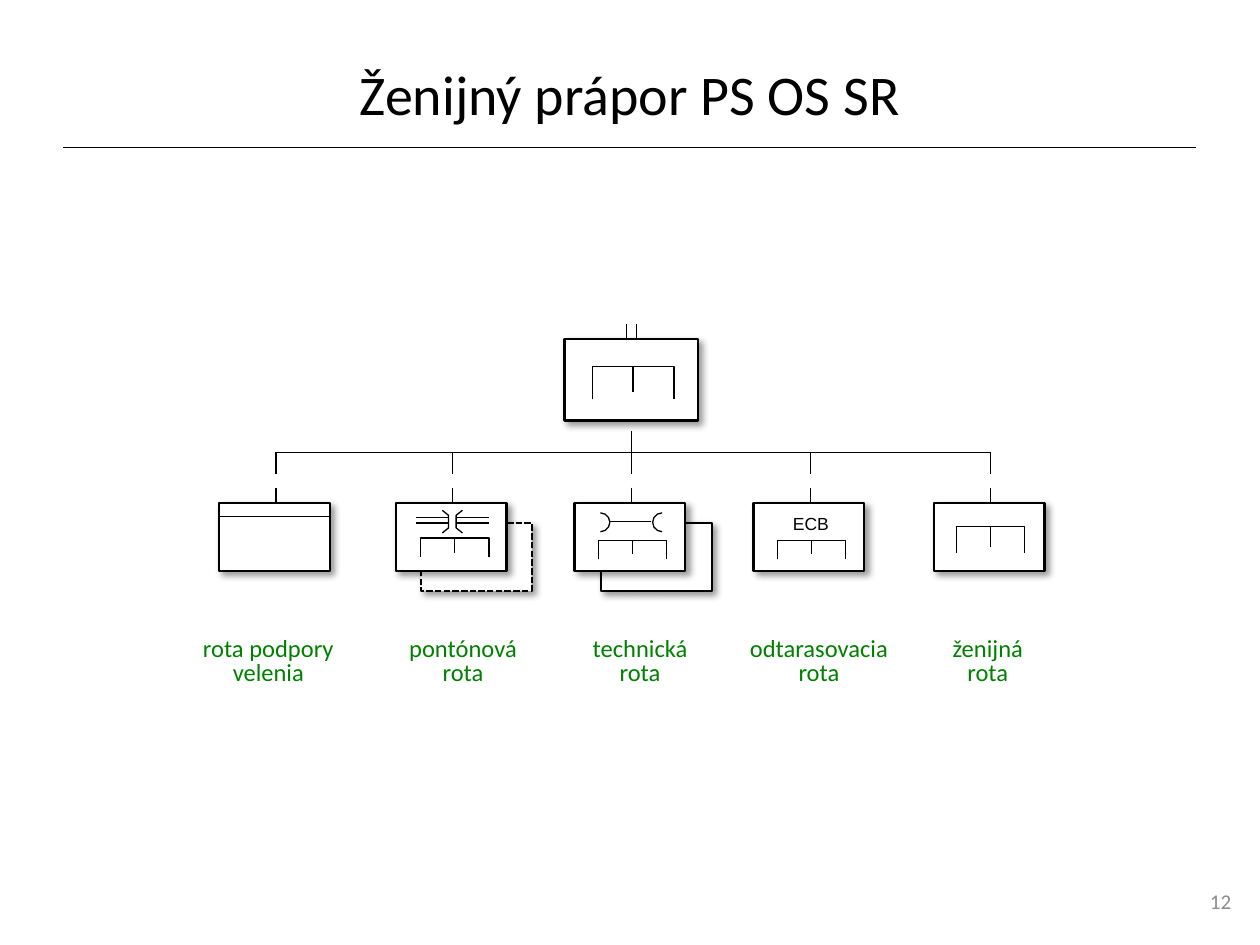
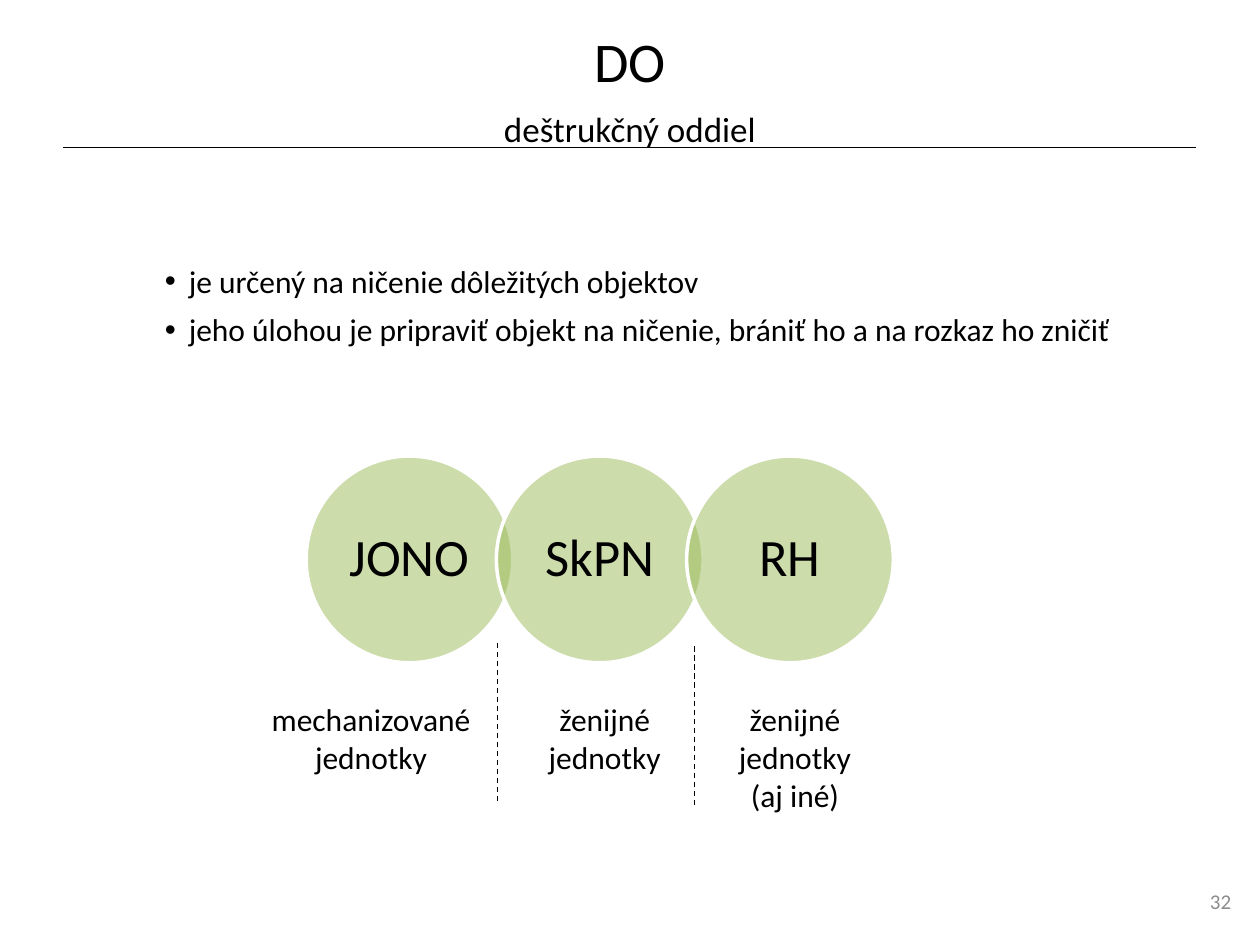
from lxml.etree import SubElement
from pptx import Presentation
from pptx.dml.color import RGBColor
from pptx.enum.dml import MSO_LINE
from pptx.enum.shapes import MSO_CONNECTOR, MSO_SHAPE
from pptx.enum.text import MSO_ANCHOR, PP_ALIGN
from pptx.oxml.ns import qn
from pptx.util import Inches, Pt

BLACK = RGBColor(0x00, 0x00, 0x00)
WHITE = RGBColor(0xFF, 0xFF, 0xFF)
GREEN = RGBColor(0x00, 0x80, 0x00)
OLIVE = RGBColor(0x9B, 0xBB, 0x59)
GRAY = RGBColor(0x8C, 0x8C, 0x8C)

TITLE_FONT = {"size": Pt(32), "name": "Calibri"}
SUBTITLE_FONT = {"size": Pt(20), "name": "Calibri"}
BODY_FONT = {"size": Pt(18), "name": "Calibri"}
CIRCLE_FONT = {"size": Pt(30), "name": "Calibri"}
UNIT_FONT = {"size": Pt(14), "name": "Calibri"}
SYMBOL_FONT = {"size": Pt(10), "name": "Arial"}
NUMBER_FONT = {"size": Pt(12), "name": "Calibri"}
CENTERED = {"alignment": PP_ALIGN.CENTER}
MIDDLE = {"word_wrap": True, "vertical_anchor": MSO_ANCHOR.MIDDLE}

UNIT_WIDTH, UNIT_HEIGHT = 0.88, 0.54


# Shared drawing helpers
def apply_format(target, values):
    for name, value in values.items():
        setattr(target, name, value)


def add_run(paragraph, text, font, color=BLACK):
    run = paragraph.add_run()
    run.text = text
    apply_format(run.font, font)
    run.font.color.rgb = color


def write_text(frame, lines, font, color=BLACK, paragraph_format=CENTERED):
    for index, line in enumerate(lines):
        paragraph = frame.add_paragraph() if index else frame.paragraphs[0]
        apply_format(paragraph, paragraph_format)
        add_run(paragraph, line, font, color)


def add_text(slide, box, lines, font, color=BLACK, paragraph_format=CENTERED,
             frame_format=None):
    shape = slide.shapes.add_textbox(*map(Inches, box))
    apply_format(shape.text_frame, frame_format or {"word_wrap": True})
    write_text(shape.text_frame, lines, font, color, paragraph_format)
    return shape.text_frame


def style_line(shape, width, dash=None, color=BLACK):
    shape.line.color.rgb = color
    apply_format(shape.line, {"width": Pt(width), "dash_style": dash})


def add_line(slide, x1, y1, x2, y2, dash=None):
    connector = slide.shapes.add_connector(
        MSO_CONNECTOR.STRAIGHT, *map(Inches, (x1, y1, x2, y2)))
    style_line(connector, 0.75, dash)
    SubElement(connector._element.spPr, qn("a:effectLst"))


def add_polyline(slide, points):
    start, *others = [(Inches(x), Inches(y)) for x, y in points]
    builder = slide.shapes.build_freeform(*start)
    builder.add_line_segments(others, close=False)
    shape = builder.convert_to_shape()
    shape.shadow.inherit = False
    shape.fill.background()
    style_line(shape, 0.75)


def add_unit_box(slide, left, top, width=UNIT_WIDTH, height=UNIT_HEIGHT,
                 line_width=1.25, dash=None):
    shape = slide.shapes.add_shape(
        MSO_SHAPE.RECTANGLE, *map(Inches, (left, top, width, height)))
    shape.fill.solid()
    shape.fill.fore_color.rgb = WHITE
    style_line(shape, line_width, dash)
    # Soft shadow towards the lower right
    shape.shadow.inherit = False
    effects = shape._element.spPr.find(qn("a:effectLst"))
    shadow = SubElement(effects, qn("a:outerShdw"), blurRad=str(Pt(4)),
                        dist=str(Pt(3)), dir="2700000", algn="tl", rotWithShape="0")
    shadow_color = SubElement(shadow, qn("a:srgbClr"), val=str(BLACK))
    SubElement(shadow_color, qn("a:alpha"), val="40000")


# Slide frame: title, rule and page number
def add_frame(presentation, title, number, subtitle=None):
    slide = presentation.slides.add_slide(presentation.slide_layouts[6])
    add_line(slide, 0.5, 1.17, 9.49, 1.17)
    frame = add_text(slide, (0.5, 0.3, 9, 0.88), [title], TITLE_FONT,
                     frame_format=MIDDLE)
    if subtitle:
        paragraph = frame.paragraphs[0]
        paragraph.line_spacing = Pt(32)
        paragraph.add_line_break()
        add_run(paragraph, subtitle, SUBTITLE_FONT)
    add_text(slide, (9.16, 6.95, 0.71, 0.4), [number], NUMBER_FONT, GRAY,
             {"alignment": PP_ALIGN.RIGHT}, MIDDLE)
    return slide


# Military unit symbols, placed relative to the corner of their box
def add_engineer_sign(slide, left, top, height, stem, width=0.54):
    right, bottom, middle = left + width, top + height, left + width / 2
    add_polyline(slide, [(left, bottom), (left, top), (right, top), (right, bottom)])
    add_line(slide, middle, top, middle, top + stem)


def add_support_symbol(slide, left, top):
    add_line(slide, left, top + 0.11, left + UNIT_WIDTH, top + 0.11)


def add_pontoon_symbol(slide, left, top):
    # Two mirrored halves of a bridge
    center = left + 0.45
    for side in (-1, 1):
        near, far = center + side * 0.03, center + side * 0.08
        add_polyline(slide, [(far, top + 0.06), (near, top + 0.1),
                             (near, top + 0.2), (far, top + 0.24)])
        for offset in (0.12, 0.16):
            add_line(slide, near, top + offset, center + side * 0.29, top + offset)
    add_engineer_sign(slide, left + 0.2, top + 0.28, 0.15, 0.12)


def add_technical_symbol(slide, left, top):
    # Spanner: a bar between two open jaws
    add_line(slide, left + 0.28, top + 0.15, left + 0.61, top + 0.15)
    for offset, angles in ((0.13, (162, 54)), (0.62, (54, 162))):
        jaw = slide.shapes.add_shape(
            MSO_SHAPE.ARC, *map(Inches, (left + offset, top + 0.08, 0.15, 0.15)))
        jaw.adjustments[0], jaw.adjustments[1] = angles
        jaw.shadow.inherit = False
        jaw.fill.background()
        style_line(jaw, 0.75)
    add_engineer_sign(slide, left + 0.19, top + 0.3, 0.15, 0.11)


def add_clearing_symbol(slide, left, top):
    insets = {"margin_left": Inches(0.04), "margin_right": Inches(0.04),
              "margin_top": 0, "margin_bottom": 0, "word_wrap": False}
    add_text(slide, (left + 0.25, top + 0.08, 0.41, 0.16), ["ECB"], SYMBOL_FONT,
             frame_format=insets)
    add_engineer_sign(slide, left + 0.19, top + 0.3, 0.15, 0.11)


def add_engineer_symbol(slide, left, top):
    add_engineer_sign(slide, left + 0.18, top + 0.19, 0.21, 0.16)


# Center, symbol, label lines, label left and label width of each company
COMPANIES = [
    (2.19, add_support_symbol, ["rota podpory velenia"], 1.44, 1.38),
    (3.59, add_pontoon_symbol, ["pontónová", "rota"], 3.05, 1.25),
    (5.01, add_technical_symbol, ["technická", "rota"], 4.57, 1.02),
    (6.43, add_clearing_symbol, ["odtarasovacia", "rota"], 5.83, 1.34),
    (7.86, add_engineer_symbol, ["ženijná", "rota"], 7.33, 1.02),
]


def add_battalion(slide, left, top):
    add_unit_box(slide, left, top, 1.06, 0.65, 1.5)
    add_engineer_sign(slide, left + 0.22, top + 0.22, 0.26, 0.2, 0.65)
    for offset in (0.49, 0.57):
        add_line(slide, left + offset, top - 0.12, left + offset, top)


def add_company_row(slide, top):
    # Reserve units behind the pontoon and technical companies
    for left, dash in ((4.77, None), (3.34, MSO_LINE.SQUARE_DOT)):
        add_unit_box(slide, left, top + 0.16, dash=dash)
    for center, add_symbol, label, label_left, label_width in COMPANIES:
        left = center - 0.45
        add_unit_box(slide, left, top)
        add_symbol(slide, left, top)
        add_line(slide, center, top - 0.12, center, top)
        add_text(slide, (label_left, top + 1.02, label_width, 0.49), label,
                 UNIT_FONT, GREEN, {**CENTERED, "line_spacing": Pt(14)})


def add_branches(slide, top):
    centers = [company[0] for company in COMPANIES]
    add_line(slide, centers[0], top, centers[-1], top)
    add_line(slide, centers[2], top - 0.17, centers[2], top)
    for center in centers:
        add_line(slide, center, top, center, top + 0.17)


def build_battalion_slide(presentation):
    slide = add_frame(presentation, "Ženijný prápor PS OS SR", "12")
    add_company_row(slide, 3.99)
    add_battalion(slide, 4.48, 2.69)
    add_branches(slide, 3.59)


# Demolition detachment
def add_bullets(slide, box, lines):
    frame = add_text(slide, box, lines, BODY_FONT,
                     paragraph_format={"alignment": PP_ALIGN.LEFT})
    for index, paragraph in enumerate(frame.paragraphs):
        properties = paragraph._p.get_or_add_pPr()
        properties.set("marL", str(Inches(0.19)))
        properties.set("indent", str(-Inches(0.19)))
        SubElement(properties, qn("a:buFont"), typeface="Arial")
        SubElement(properties, qn("a:buChar"), char="•")
        if index:
            paragraph.space_before = Pt(6)


def add_circles(slide, left, top, names, diameter=1.64, pitch=1.51):
    for index, name in enumerate(names):
        box = (left + index * pitch, top, diameter, diameter)
        circle = slide.shapes.add_shape(MSO_SHAPE.OVAL, *map(Inches, box))
        circle.shadow.inherit = False
        circle.fill.solid()
        circle.fill.fore_color.rgb = OLIVE
        fill_color = circle._element.spPr.find(qn("a:solidFill"))[0]
        SubElement(fill_color, qn("a:alpha"), val="50000")
        style_line(circle, 2, color=WHITE)
        apply_format(circle.text_frame, {**MIDDLE, "word_wrap": False})
        write_text(circle.text_frame, [name], CIRCLE_FONT,
                   paragraph_format={**CENTERED, "line_spacing": 0.9})


def add_members(slide, top):
    members = [
        (2.05, 1.79, ["mechanizované", "jednotky"]),
        (4.25, 1.1, ["ženijné", "jednotky"]),
        (5.76, 1.1, ["ženijné", "jednotky", "(aj iné)"]),
    ]
    for left, width, lines in members:
        add_text(slide, (left, top, width, 0.1 + 0.3 * len(lines)), lines,
                 BODY_FONT, frame_format={"word_wrap": False})
    # Dashed dividers between the members
    for x, y in ((3.95, top - 0.41), (5.51, top - 0.38)):
        add_line(slide, x, y, x, y + 1.26, MSO_LINE.DASH)


def build_demolition_slide(presentation):
    slide = add_frame(presentation, "DO", "32", "deštrukčný oddiel")
    add_bullets(slide, (1.21, 2.03, 8.05, 0.79), [
        "je určený na ničenie dôležitých objektov",
        "jeho úlohou je pripraviť objekt na ničenie, brániť ho a na rozkaz ho zničiť",
    ])
    add_circles(slide, 2.43, 3.62, ["JONO", "SkPN", "RH"])
    add_members(slide, 5.51)


def main():
    presentation = Presentation()
    apply_format(presentation, {"slide_width": Inches(10), "slide_height": Inches(7.5)})
    build_battalion_slide(presentation)
    build_demolition_slide(presentation)
    presentation.save("out.pptx")


if __name__ == "__main__":
    main()
